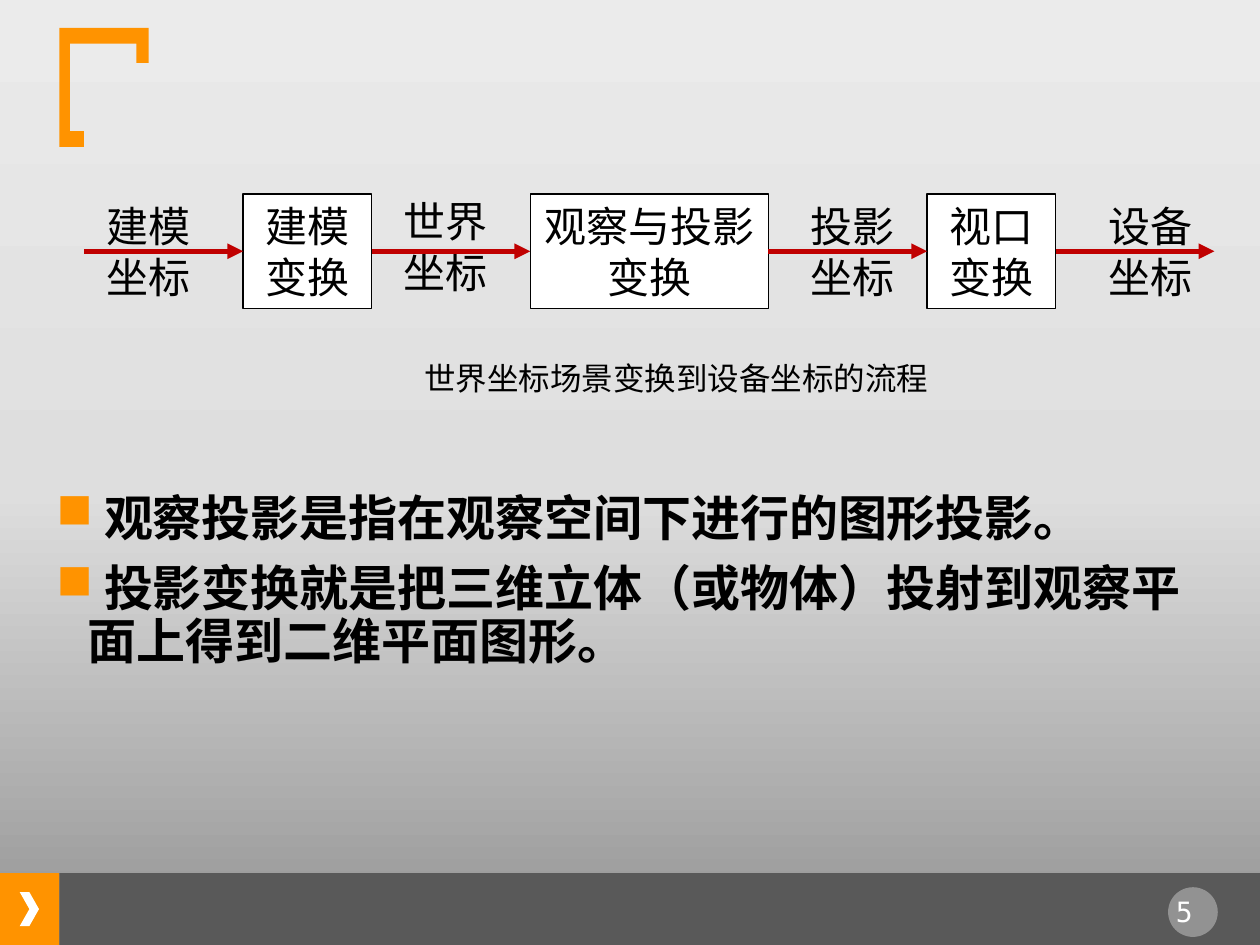
from lxml.etree import SubElement
from pptx import Presentation
from pptx.dml.color import RGBColor
from pptx.enum.shapes import MSO_CONNECTOR as Line, MSO_SHAPE as Shape
from pptx.enum.text import MSO_ANCHOR as Anchor, PP_ALIGN as Align
from pptx.oxml import parse_xml
from pptx.oxml.ns import nsdecls, qn
from pptx.util import Pt

THEME = {
    "orange": "FF9300", "bar": "595959", "white": "FFFFFF", "black": "000000", "red": "C00000",
    "stops": [(0, "949494"), (48, "DEDEDE"), (100, "EBEBEB")],
    "body": 28, "flow": 24, "caption": 18, "number": 16,
    "latin": "Arial", "label": "Calibri", "cjk": "Noto Sans CJK SC", "mono": "DejaVu Sans Mono",
}
STAGES = [("建模变换", 73.4), ("观察与投影变换", 136.1), ("视口变换", 73.4)]
COORDINATES = [("建模坐标", 0), ("世界坐标", -2.9), ("投影坐标", 0), ("设备坐标", 0)]
CAPTION = "世界坐标场景变换到设备坐标的流程"
POINTS = [" 观察投影是指在观察空间下进行的图形投影。",
          " 投影变换就是把三维立体（或物体）投射到观察平面上得到二维平面图形。"]
BRACKET = [(34, 16), (85, 16), (85, 36.5), (78.3, 36.5), (78.3, 24.8),
           (40.5, 24.8), (40.5, 74.7), (48.5, 74.7), (48.5, 83.7), (34, 83.7)]
FLOW_LEFT, FLOW_TOP, FLOW_HEIGHT = 48.2, 110.9, 65.4
GAP, LABEL_WIDTH, LABEL_STEP = 90.7, 73.4, 5.8


def colour(name):
    """Return a theme colour."""
    return RGBColor.from_string(THEME[name])


def add_background(page):
    """Fill the page with the vertical grey gradient."""
    stops = "".join(f'<a:gs pos="{at * 1000}"><a:srgbClr val="{tone}"/></a:gs>'
                    for at, tone in THEME["stops"])
    page.element.cSld.insert(0, parse_xml(
        f'<p:bg {nsdecls("p", "a")}><p:bgPr><a:gradFill rotWithShape="1"><a:gsLst>{stops}</a:gsLst>'
        '<a:lin ang="16200000" scaled="0"/></a:gradFill><a:effectLst/></p:bgPr></p:bg>'))


def paint(shape, fill, outline=None):
    """Give a shape a flat fill and an optional thin outline."""
    shape.shadow.inherit = False
    shape.fill.solid()
    shape.fill.fore_color.rgb = colour(fill)
    if outline:
        shape.line.color.rgb = colour(outline)
        shape.line.width = Pt(0.75)
    else:
        shape.line.fill.background()
    return shape


def add_block(page, kind, place, fill, outline=None):
    """Add a preset shape at a place given in points."""
    return paint(page.shapes.add_shape(kind, *map(Pt, place)), fill, outline)


def write(box, text, *, size, font, tone="black", bold=False, align=Align.LEFT,
          anchor=Anchor.TOP, wrap=True, bullet=False):
    """Write one paragraph per line of text into a box."""
    frame = box.text_frame
    frame.word_wrap = wrap
    frame.vertical_anchor = anchor
    for index, line in enumerate(text.split("\n")):
        para = frame.add_paragraph() if index else frame.paragraphs[0]
        para.alignment = align
        if bullet:
            para.line_spacing = 0.9
            if index:
                para.space_before = Pt(10)
            props = para._p.get_or_add_pPr()
            props.set("marL", str(Pt(18)))
            props.set("indent", str(-Pt(18)))
            SubElement(SubElement(props, qn("a:buClr")), qn("a:srgbClr")).set("val", THEME["orange"])
            SubElement(props, qn("a:buChar")).set("char", "■")
        span = para.add_run()
        span.text = line
        span.font.size = Pt(THEME[size])
        span.font.name = THEME[font]
        span.font.bold = bold
        span.font.color.rgb = colour(tone)


def add_text(page, place, text, **style):
    """Add a text box at a place given in points."""
    write(page.shapes.add_textbox(*map(Pt, place)), text, **style)


def add_arrow(page, left, source, target):
    """Draw an arrow across one gap, joined to the stages beside it."""
    middle = FLOW_TOP + FLOW_HEIGHT / 2
    arrow = page.shapes.add_connector(Line.STRAIGHT, Pt(left), Pt(middle), Pt(left + GAP), Pt(middle))
    if source:
        arrow.begin_connect(source, 3)
    if target:
        arrow.end_connect(target, 1)
    arrow.line.color.rgb = colour("red")
    arrow.line.width = Pt(3)
    SubElement(arrow.line._get_or_add_ln(), qn("a:tailEnd")).set("type", "triangle")
    SubElement(arrow._element.spPr, qn("a:effectLst"))


def add_frame(page):
    """Add the footer, the page number and the corner bracket."""
    add_block(page, Shape.RECTANGLE, (0, 499, 34, 41), "orange")
    add_block(page, Shape.RECTANGLE, (34, 499, 686, 41), "bar")
    add_block(page, Shape.CHEVRON, (11.3, 509.8, 11, 19.4), "white")
    disc = add_block(page, Shape.OVAL, (667.5, 507, 28.4, 28.4), "white")
    tint = disc._element.spPr.find(qn("a:solidFill")).find(qn("a:srgbClr"))
    SubElement(tint, qn("a:alpha")).set("val", "35000")
    add_text(page, (662.4, 507.6, 38.2, 26.6), "5 ", size="number", font="mono",
             tone="white", align=Align.CENTER)
    builder = page.shapes.build_freeform(*BRACKET[0], scale=Pt(1))
    builder.add_line_segments(BRACKET[1:], close=True)
    paint(builder.convert_to_shape(), "orange")


def add_flow(page):
    """Lay out stages at equal gaps with a labelled arrow in each gap."""
    style = {"size": "flow", "align": Align.CENTER, "anchor": Anchor.MIDDLE}
    stages, gaps, left = [], [FLOW_LEFT], FLOW_LEFT
    for name, width in STAGES:
        left += GAP
        stage = add_block(page, Shape.RECTANGLE, (left, FLOW_TOP, width, FLOW_HEIGHT), "white", "black")
        write(stage, name, font="cjk", **style)
        stages.append(stage)
        left += width
        gaps.append(left)
    for index, (name, shift) in enumerate(COORDINATES):
        place = (gaps[index] + LABEL_STEP * index, FLOW_TOP + shift, LABEL_WIDTH, FLOW_HEIGHT)
        add_text(page, place, name, font="label", **style)
    for start, source, target in zip(gaps, [None, *stages], [*stages, None]):
        add_arrow(page, start, source, target)


def main():
    """Build the slide and save the deck."""
    deck = Presentation()
    deck.slide_width, deck.slide_height = Pt(720), Pt(540)
    page = deck.slides.add_slide(deck.slide_layouts[6])
    add_background(page)
    add_frame(page)
    add_text(page, (25.2, 278.6, 679, 159), "\n".join(POINTS), size="body", font="latin",
             bold=True, bullet=True)
    add_flow(page)
    add_text(page, (235.4, 201.6, 302.4, 28.8), CAPTION, size="caption", font="label", wrap=False)
    deck.save("out.pptx")


if __name__ == "__main__":
    main()
